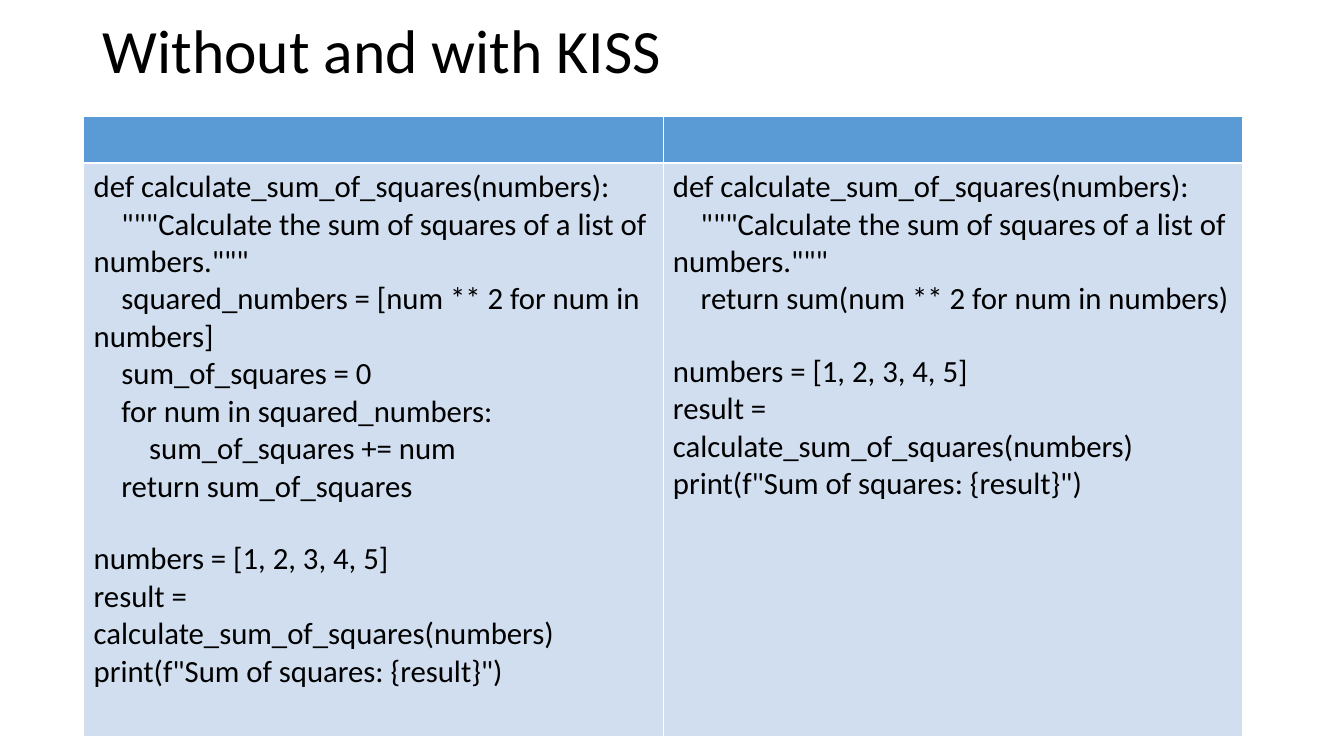
from pptx import Presentation
from pptx import util as u
from pptx.dml.color import RGBColor
from pptx.enum import text
from pptx.oxml import parse_xml
from pptx.oxml.ns import nsdecls

COLORS = {"text": "000000", "header": "5B9BD5", "body": "D0DEEF", "border": "FFFFFF"}
FONT = "Calibri"
THIN, THICK = 0.45, 1.47
HEADER_HEIGHT, BODY_HEIGHT = 0.47, 5.68
SIGNATURE = [
    'def calculate_sum_of_squares(numbers):',
    '    """Calculate the sum of squares of a list of numbers."""',
]
USAGE = [
    'numbers = [1, 2, 3, 4, 5]',
    'result = calculate_sum_of_squares(numbers)',
    'print(f"Sum of squares: {result}")',
]
WITHOUT_KISS = SIGNATURE + [
    '    squared_numbers = [num ** 2 for num in numbers]',
    '    sum_of_squares = 0',
    '    for num in squared_numbers:',
    '        sum_of_squares += num',
    '    return sum_of_squares',
]
WITH_KISS = SIGNATURE + ['    return sum(num ** 2 for num in numbers)']


def style(paragraph, size):
    font = paragraph.font
    font.name, font.size = FONT, u.Pt(size)
    font.color.rgb = RGBColor.from_string(COLORS["text"])


def add_title(slide, left, top, width, height, wording):
    frame = slide.shapes.add_textbox(left, top, width, height).text_frame
    frame.word_wrap = True
    frame.vertical_anchor = text.MSO_ANCHOR.MIDDLE
    title = frame.paragraphs[0]
    title.text = wording
    title.line_spacing = 0.9
    style(title, 44)


def paint_cell(cell, fill, top, bottom):
    """Set the fill and the four border widths, with thin side borders."""
    properties = cell._tc.get_or_add_tcPr()
    for side, width in zip("LRTB", (THIN, THIN, top, bottom)):
        properties.append(parse_xml(
            f'<a:ln{side} {nsdecls("a")} w="{u.Pt(width)}"><a:solidFill>'
            f'<a:srgbClr val="{COLORS["border"]}"/></a:solidFill></a:ln{side}>'))
    cell.fill.solid()
    cell.fill.fore_color.rgb = RGBColor.from_string(COLORS[fill])


def write_code(cell, blocks):
    """Write one paragraph per line, with a line's gap between blocks."""
    frame = cell.text_frame
    for block_number, block in enumerate(blocks):
        for line_number, line in enumerate(block):
            first = block_number == line_number == 0
            paragraph = frame.paragraphs[0] if first else frame.add_paragraph()
            paragraph.text = line
            if block_number and line_number == 0:
                paragraph.space_before = u.Pt(25)
            style(paragraph, 22)


def add_comparison(slide, left, top, width, versions):
    height = u.Inches(HEADER_HEIGHT + BODY_HEIGHT)
    table = slide.shapes.add_table(2, len(versions), left, top, width, height).table
    table.horz_banding = False
    table.rows[0].height = u.Inches(HEADER_HEIGHT)
    table.rows[1].height = u.Inches(BODY_HEIGHT)
    for column, function in enumerate(versions):
        paint_cell(table.cell(0, column), "header", THIN, THICK)
        paint_cell(table.cell(1, column), "body", THICK, THIN)
        write_code(table.cell(1, column), [function, USAGE])


def main():
    deck = Presentation()
    deck.slide_width, deck.slide_height = u.Inches(13.34), u.Inches(7.5)
    slide = deck.slides.add_slide(deck.slide_layouts[6])
    width = u.Inches(11.5)
    add_title(slide, u.Inches(0.92), u.Inches(-0.19), width, u.Inches(1.45),
              "Without and with KISS")
    add_comparison(slide, u.Inches(0.83), u.Inches(1.15), width,
                   [WITHOUT_KISS, WITH_KISS])
    deck.save("out.pptx")


if __name__ == "__main__":
    main()
